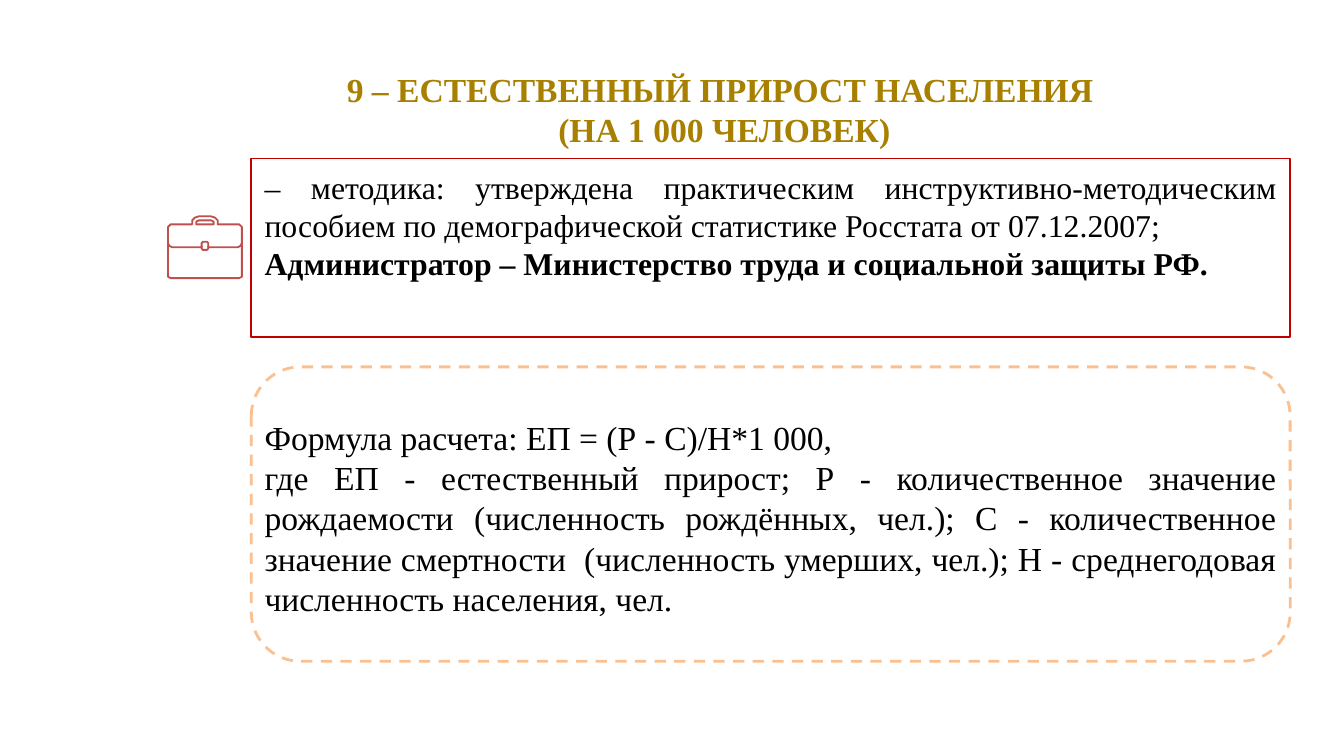
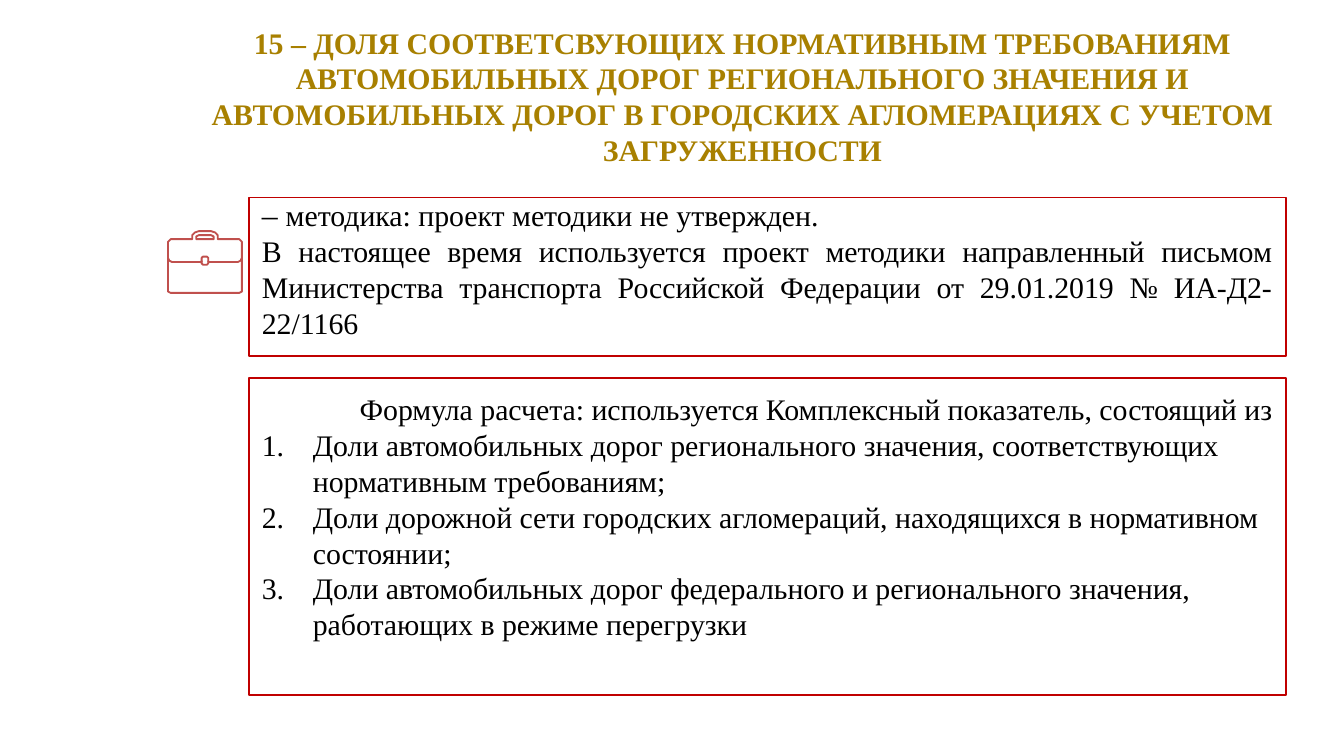
from pptx import Presentation
from pptx.dml.color import RGBColor
from pptx.enum.dml import MSO_LINE
from pptx.enum.shapes import MSO_SHAPE
from pptx.enum.text import MSO_ANCHOR, MSO_AUTO_SIZE, PP_ALIGN
from pptx.oxml.ns import qn
from pptx.util import Inches, Pt
from lxml.etree import SubElement

THEME = {
    "font": "Times New Roman",
    "title": RGBColor(0xA8, 0x80, 0x00),
    "text": RGBColor(0, 0, 0),
    "paper": RGBColor(0xFF, 0xFF, 0xFF),
    "frame": RGBColor(0xC0, 0, 0),
    "dashed": RGBColor(0xFA, 0xC0, 0x90),
    "icon": RGBColor(0xC0, 0x50, 0x4D),
    "large": Pt(18), "medium": Pt(17), "small": Pt(16),
}
LEFT, CENTER, RIGHT, JUSTIFY = (PP_ALIGN.LEFT, PP_ALIGN.CENTER,
                                PP_ALIGN.RIGHT, PP_ALIGN.JUSTIFY)
NUMBERED = "numbered"


def write(tf, paras, size, color="text", bold=False, margins=(0.1, 0.05)):
    """Fill a frame; each paragraph is (alignment, runs), each run (text, format)."""
    side, edge = (Inches(m) for m in margins)
    frame = {"word_wrap": True, "auto_size": MSO_AUTO_SIZE.NONE,
             "vertical_anchor": MSO_ANCHOR.TOP, "margin_left": side,
             "margin_right": side, "margin_top": edge, "margin_bottom": edge}
    for name, value in frame.items():
        setattr(tf, name, value)
    for i, (align, runs) in enumerate(paras):
        p = tf.add_paragraph() if i else tf.paragraphs[0]
        p.alignment = LEFT if align == NUMBERED else align
        if align == NUMBERED:
            pPr = p._p.get_or_add_pPr()
            pPr.set("marL", str(Inches(0.38)))
            pPr.set("indent", str(-Inches(0.38)))
            SubElement(pPr, qn("a:buFont"), typeface="+mj-lt")
            SubElement(pPr, qn("a:buAutoNum"), type="arabicPeriod")
        for text, extra in runs:
            r = p.add_run()
            r.text = text
            r.font.color.rgb = THEME[color]
            style = {"name": THEME["font"], "size": THEME[size], "bold": bold}
            for name, value in {**style, **extra}.items():
                setattr(r.font, name, value)


def outline(sp, color, width=1, fill=None):
    """Give a shape its line, and a plain fill or none."""
    sp.shadow.inherit = False
    sp.line.color.rgb = THEME[color]
    sp.line.width = Pt(width)
    if fill:
        sp.fill.solid()
        sp.fill.fore_color.rgb = THEME[fill]
    else:
        sp.fill.background()


# Left halves of the briefcase outlines, in hundredths of an inch
ICON_LEFT, ICON_WIDTH = 1.25, 55
BODY = [(23, 0), (20, 1), (18, 3), (18, 6), (2, 6), (0, 8), (0, 20),
        (1, 22), (3, 23), (25, 23), (25, 20), (26, 19)]
HANDLE = [(23, 3), (21, 4), (21, 6)]
LATCH = [(25, 22), (25, 24), (26, 25)]
CASE = [(0, 20), (0, 45), (2, 46)]
ICON_PARTS = [([BODY, HANDLE], True), ([LATCH], False), ([CASE], False)]

# Frames: preset, place, line colour, width, dash.
# Texts: place, size, margins, paragraphs
SLIDES = [
    {
        "title": [(CENTER, [("9 – ЕСТЕСТВЕННЫЙ ПРИРОСТ НАСЕЛЕНИЯ ", {})]),
                  (CENTER, [("(НА 1 000 ЧЕЛОВЕК)", {})])],
        "title_at": (1.17, 0.47, 8.44, 0.51),
        "title_size": "large",
        "icon_top": 1.61,
        "frames": [
            (MSO_SHAPE.ROUNDED_RECTANGLE, (1.87, 2.73, 7.73, 2.19),
             "dashed", 1.5, MSO_LINE.DASH),
            (MSO_SHAPE.RECTANGLE, (1.87, 1.18, 7.73, 1.33), "frame", 1, None),
        ],
        "texts": [
            ((1.87, 1.2, 7.73, 0.96), "medium", (0.1, 0.05), [
                (JUSTIFY, [("– методика: утверждена практическим "
                            "инструктивно-методическим пособием по демографической "
                            "статистике Росстата от 07.12.2007; ", {})]),
                (JUSTIFY, [("Администратор – Министерство труда и социальной "
                            "защиты РФ.", {"bold": True})])]),
            ((1.87, 3.05, 7.73, 1.62), "large", (0.1, 0.05), [
                (JUSTIFY, [("Формула расчета: ЕП = (Р - С)/Н*1 000,", {})]),
                (JUSTIFY, [("где ЕП - естественный прирост; Р - количественное "
                            "значение рождаемости (численность рождённых, чел.); "
                            "С - количественное значение смертности  (численность "
                            "умерших, чел.); Н - среднегодовая численность "
                            "населения, чел.", {})])]),
        ],
    },
    {
        "title": [(CENTER, [("15 – ДОЛЯ СООТВЕТСВУЮЩИХ НОРМАТИВНЫМ ТРЕБОВАНИЯМ "
                             "АВТОМОБИЛЬНЫХ ДОРОГ РЕГИОНАЛЬНОГО ЗНАЧЕНИЯ И "
                             "АВТОМОБИЛЬНЫХ ДОРОГ В ГОРОДСКИХ АГЛОМЕРАЦИЯХ С УЧЕТОМ "
                             "ЗАГРУЖЕННОСТИ", {})])],
        "title_at": (1.25, 0.14, 8.55, 1.1),
        "title_size": "small",
        "icon_top": 1.72,
        "frames": [
            (MSO_SHAPE.RECTANGLE, (1.85, 1.47, 7.72, 1.18), "frame", 1, None),
            (MSO_SHAPE.RECTANGLE, (1.85, 2.81, 7.72, 2.36), "frame", 1, None),
        ],
        "texts": [
            ((1.85, 1.4, 7.72, 1.19), "small", (0.1, 0.05), [
                (JUSTIFY, [("– ", {"size": THEME["medium"]}),
                           ("методика: проект методики не утвержден.", {})]),
                (JUSTIFY, [("В настоящее время используется проект методики "
                            "направленный письмом Министерства транспорта Российской "
                            "Федерации от 29.01.2019 № ИА-Д2-22/1166 ", {})])]),
            # The formula list is written inside the second frame
            (1, "small", (0.1, 0.1), [
                (RIGHT, [("Формула расчета: используется Комплексный показатель, "
                          "состоящий из", {})]),
                (NUMBERED, [("Доли автомобильных дорог регионального значения, "
                             "соответствующих нормативным требованиям;", {})]),
                (NUMBERED, [("Доли дорожной сети городских агломераций, находящихся "
                             "в нормативном состоянии;", {})]),
                (NUMBERED, [("Доли автомобильных дорог федерального и регионального "
                             "значения, работающих в режиме перегрузки", {})])]),
        ],
    },
]

# Widescreen, 16 to 9
prs = Presentation()
prs.slide_width = Inches(10)
prs.slide_height = prs.slide_width * 9 // 16

for content in SLIDES:
    s = prs.slides.add_slide(prs.slide_layouts[5])

    # Title
    title = s.shapes.title
    for name, value in zip(("left", "top", "width", "height"), content["title_at"]):
        setattr(title, name, Inches(value))
    write(title.text_frame, content["title"], content["title_size"],
          color="title", bold=True, margins=(0.07, 0.04))

    # Frames
    frames = []
    for preset, at, color, width, dash in content["frames"]:
        sp = s.shapes.add_shape(preset, *map(Inches, at))
        outline(sp, color, width, fill="paper")
        if dash:
            sp.line.dash_style = dash
        frames.append(sp)

    # Texts
    for place, size, margins, paras in content["texts"]:
        if isinstance(place, int):
            sp = frames[place]
        else:
            sp = s.shapes.add_textbox(*map(Inches, place))
        write(sp.text_frame, paras, size, margins=margins)

    # Briefcase icon, each half mirrored about the middle
    icon = s.shapes.add_group_shape()
    for halves, closed in ICON_PARTS:
        contours = [half + [(ICON_WIDTH - x, y) for x, y in reversed(half)]
                    for half in halves]
        fb = icon.shapes.build_freeform(*contours[0][0], scale=Inches(0.01))
        for i, points in enumerate(contours):
            if i:
                fb.move_to(*points[0])
            fb.add_line_segments(points[1:], close=closed)
        sp = fb.convert_to_shape(Inches(ICON_LEFT), Inches(content["icon_top"]))
        outline(sp, "icon")

prs.save("out.pptx")
